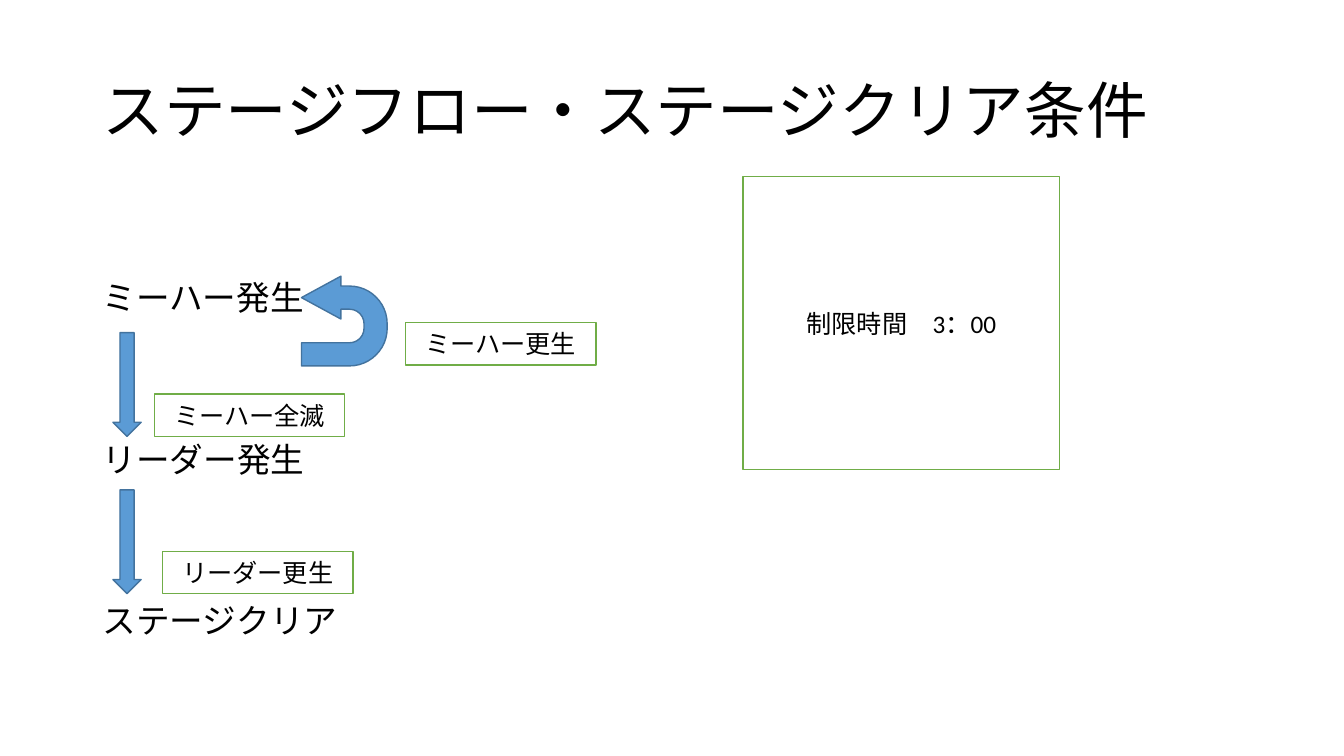
from pptx import Presentation
from pptx.util import Inches, Pt
from pptx.dml.color import RGBColor
from pptx.enum import shapes, text

# Content
TITLE = "ステージフロー・ステージクリア条件"
STAGES = ["ミーハー発生", "リーダー発生", "ステージクリア"]
CONDITIONS = [  # label, left, top
    ("ミーハー全滅", 1.53, 3.91),
    ("ミーハー更生", 4.02, 3.20),
    ("リーダー更生", 1.61, 5.47),
]
TIME_LIMIT = "制限時間　3：00"

COLORS = {"text": "000000", "box": "FFFFFF", "box_line": "70AD47",
          "arrow": "5B9BD5", "arrow_line": "43739E"}
FONT = "Calibri"
LEFT, WIDTH = 0.92, 11.5
STAGE_MIDDLE, STAGE_PITCH, STAGE_HEIGHT = 2.95, 1.6, 0.5
ARROW_TOP, ARROW_PITCH = 3.3, 1.56

deck = Presentation()
deck.slide_width, deck.slide_height = Inches(13.33), Inches(7.5)
slide = deck.slides.add_slide(deck.slide_layouts[6])


def color(key):
    return RGBColor.from_string(COLORS[key])


def write(holder, words, size, align=text.PP_ALIGN.LEFT):
    frame = holder.text_frame
    frame.word_wrap = True
    frame.vertical_anchor = text.MSO_ANCHOR.MIDDLE
    paragraph = frame.paragraphs[0]
    paragraph.text = words
    paragraph.alignment = align
    paragraph.font.name = FONT
    paragraph.font.size = Pt(size)
    paragraph.font.color.rgb = color("text")
    return paragraph


def add_text(words, top, height, size):
    box = slide.shapes.add_textbox(*map(Inches, (LEFT, top, WIDTH, height)))
    return write(box, words, size)


def add_figure(kind, place, style):
    figure = slide.shapes.add_shape(kind, *map(Inches, place))
    figure.shadow.inherit = False
    figure.fill.solid()
    figure.fill.fore_color.rgb = color(style)
    figure.line.color.rgb = color(style + "_line")
    figure.line.width = Pt(1)
    return figure


def add_box(words, *place):
    box = add_figure(shapes.MSO_SHAPE.RECTANGLE, place, "box")
    write(box, words, 18, text.PP_ALIGN.CENTER)


# Title
add_text(TITLE, 0.4, 1.45, 44).line_spacing = 0.9

# Stages, with a down arrow between each pair
for i, stage in enumerate(STAGES):
    add_text(stage, STAGE_MIDDLE + i * STAGE_PITCH - STAGE_HEIGHT / 2,
             STAGE_HEIGHT, 24)
for i in range(len(STAGES) - 1):
    add_figure(shapes.MSO_SHAPE.DOWN_ARROW,
               (1.12, ARROW_TOP + i * ARROW_PITCH, 0.28, 1.03), "arrow")

# Loop back to the first stage
loop = add_figure(shapes.MSO_SHAPE.U_TURN_ARROW, (2.97, 2.76, 0.89, 0.85), "arrow")
for i, value in enumerate((0.27, 0.25, 0.46, 0.44, 1)):
    loop.adjustments[i] = value
loop.rotation = 90
loop._element.spPr.xfrm.set("flipH", "1")

# Conditions and time limit
for label, left, top in CONDITIONS:
    add_box(label, left, top, 1.89, 0.42)
add_box(TIME_LIMIT, 7.37, 1.75, 3.14, 2.91)

deck.save("out.pptx")
